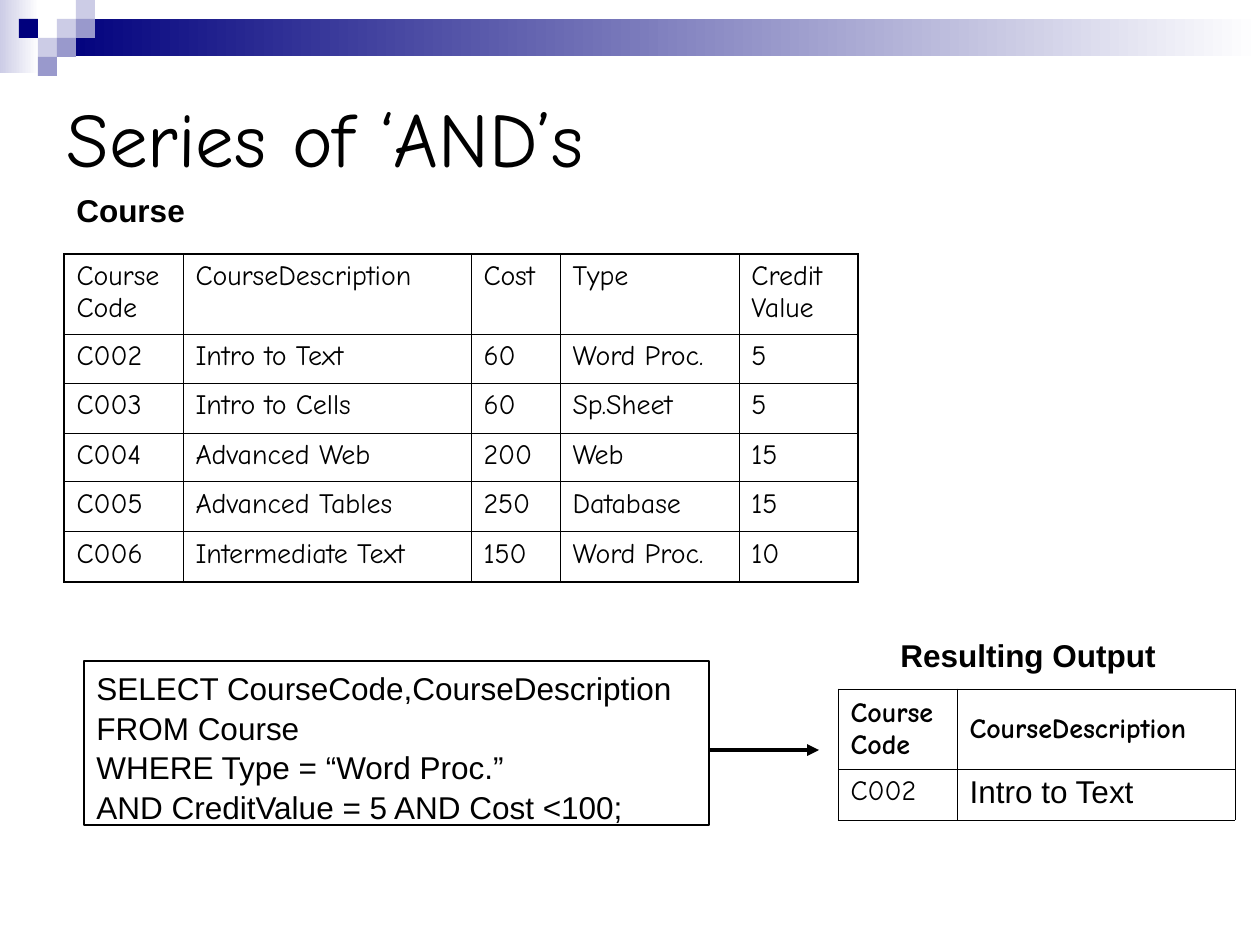
from lxml import etree
from pptx import Presentation
from pptx.dml.color import RGBColor
from pptx.enum.shapes import MSO_CONNECTOR, MSO_SHAPE
from pptx.enum.text import MSO_ANCHOR, MSO_AUTO_SIZE, PP_ALIGN
from pptx.oxml.ns import qn
from pptx.util import Emu, Pt

RECTANGLE = MSO_SHAPE.RECTANGLE
STRAIGHT = MSO_CONNECTOR.STRAIGHT
TOP, MIDDLE = MSO_ANCHOR.TOP, MSO_ANCHOR.MIDDLE
LEFT = PP_ALIGN.LEFT
NO_AUTOFIT = MSO_AUTO_SIZE.NONE

EMU_PER_PX = 914400 / 126
TITLE_ONLY = 5

COURSES = [
    ["Course Code", "CourseDescription", "Cost", "Type", "Credit Value"],
    ["C002", "Intro to Text", "60", "Word Proc.", "5"],
    ["C003", "Intro to Cells", "60", "Sp.Sheet", "5"],
    ["C004", "Advanced Web", "200", "Web", "15"],
    ["C005", "Advanced Tables", "250", "Database", "15"],
    ["C006", "Intermediate Text", "150", "Word Proc.", "10"],
]
RESULT = [["Course\vCode", "CourseDescription"], ["C002", "Intro to Text"]]
QUERY = [
    "SELECT CourseCode,CourseDescription",
    "FROM Course",
    "WHERE Type = “Word Proc.”",
    "AND CreditValue = 5 AND Cost <100;",
]


def px(*lengths):
    return [Emu(round(length * EMU_PER_PX)) for length in lengths]


def color(value):
    return RGBColor.from_string(value)


class SlideBuilder:
    HAND, SANS = "Comic Neue", "Arial"
    BLACK, WHITE = "000000", "FFFFFF"
    NAVY, LILAC, PALE = "00007D", "9999CC", "CCCCE6"

    def __init__(self, presentation):
        layout = presentation.slide_layouts[TITLE_ONLY]
        self.slide = presentation.slides.add_slide(layout)

    def style(self, paragraph, font_name, size, bold=False):
        paragraph.alignment = LEFT
        font = paragraph.font
        font.name, font.size, font.bold = font_name, Pt(size), bold
        font.color.rgb = color(self.BLACK)

    def title(self, text, *box):
        title = self.slide.shapes.title
        title.left, title.top, title.width, title.height = px(*box)
        frame = title.text_frame
        frame.text = text
        frame.auto_size = NO_AUTOFIT
        frame.vertical_anchor = MIDDLE
        self.style(frame.paragraphs[0], self.HAND, 44)

    def block(self, fill, *box):
        """Rectangle without outline; two colours make a gradient to the right."""
        shape = self.slide.shapes.add_shape(RECTANGLE, *px(*box))
        shape.shadow.inherit = False
        shape.line.fill.background()
        if isinstance(fill, str):
            shape.fill.solid()
            shape.fill.fore_color.rgb = color(fill)
        else:
            shape.fill.gradient()
            shape.fill.gradient_angle = 0
            for stop, value in zip(shape.fill.gradient_stops, fill):
                stop.color.rgb = color(value)

    def label(self, text, *box):
        frame = self.slide.shapes.add_textbox(*px(*box)).text_frame
        frame.word_wrap = True
        frame.text = text
        self.style(frame.paragraphs[0], self.SANS, 18, bold=True)

    def code_box(self, lines, *box):
        shape = self.slide.shapes.add_shape(RECTANGLE, *px(*box))
        shape.shadow.inherit = False
        shape.fill.background()
        shape.line.color.rgb = color(self.BLACK)
        shape.line.width = Pt(0.75)
        frame = shape.text_frame
        frame.word_wrap = True
        frame.vertical_anchor = TOP
        frame.text = "\n".join(lines)
        for paragraph in frame.paragraphs:
            self.style(paragraph, self.SANS, 18)
            paragraph.line_spacing = 1.05

    def arrow(self, *ends):
        connector = self.slide.shapes.add_connector(STRAIGHT, *px(*ends))
        connector.line.color.rgb = color(self.BLACK)
        connector.line.width = Pt(2.25)
        line = connector.line._get_or_add_ln()
        etree.SubElement(line, qn("a:tailEnd"), type="triangle")
        etree.SubElement(connector._element.spPr, qn("a:effectLst"))

    def borders(self, cell, widths):
        """Draw cell borders; widths are points for left, right, top, bottom."""
        properties = cell._tc.get_or_add_tcPr()
        for index, (side, width) in enumerate(zip("LRTB", widths)):
            line = etree.Element(qn(f"a:ln{side}"), w=str(Pt(width)))
            fill = etree.SubElement(line, qn("a:solidFill"))
            etree.SubElement(fill, qn("a:srgbClr"), val=self.BLACK)
            properties.insert(index, line)

    def table(self, rows, left, top, widths, heights, inner, outer):
        """Add a ruled table and return it for further formatting."""
        last_row, last_column = len(rows) - 1, len(widths) - 1
        frame = self.slide.shapes.add_table(
            len(rows), len(widths), *px(left, top, sum(widths), sum(heights)))
        table = frame.table
        table.first_row = table.horz_banding = False
        for column, width in zip(table.columns, px(*widths)):
            column.width = width
        for row, height in zip(table.rows, px(*heights)):
            row.height = height
        for r, texts in enumerate(rows):
            for c, text in enumerate(texts):
                cell = table.cell(r, c)
                cell.text = text
                cell.fill.solid()
                cell.fill.fore_color.rgb = color(self.WHITE)
                self.style(cell.text_frame.paragraphs[0], self.HAND, 16)
                on_edge = (c == 0, c == last_column, r == 0, r == last_row)
                self.borders(cell, [outer if edge else inner for edge in on_edge])
        return table


def main():
    presentation = Presentation()
    presentation.slide_width, presentation.slide_height = px(1260, 945)
    builder = SlideBuilder(presentation)

    # Banner: two gradients and a mosaic on a square grid
    builder.block((builder.PALE, builder.WHITE), 0, 0, 39, 73)
    builder.block((builder.NAVY, builder.WHITE), 57, 19, 1203, 37)
    square = 19
    mosaic = [
        (3, 1, builder.PALE), (4, 0, builder.PALE), (4, 1, builder.LILAC),
        (2, 2, builder.PALE), (1, 1, builder.NAVY), (3, 2, builder.LILAC),
        (2, 3, builder.LILAC),
    ]
    for column, row, fill in mosaic:
        builder.block(fill, column * square, row * square, square, square)

    # Title and course table
    builder.title("Series of ‘AND’s", 54, 66, 1134, 141)
    builder.label("Course", 64, 185, 367, 50)
    builder.table(COURSES, 64, 254, [119, 288, 89, 179, 119],
                  [80, 49, 50, 49, 50, 50], inner=0.45, outer=1.08)

    # Query and its output
    builder.code_box(QUERY, 84, 661, 625, 164)
    builder.arrow(709, 750, 819, 750)
    builder.label("Resulting Output", 888, 630, 367, 50)
    result = builder.table(RESULT, 838, 689, [119, 278], [80, 51],
                           inner=0.34, outer=0.34)
    for cell in result.rows[0].cells:
        cell.vertical_anchor = MIDDLE
        builder.style(cell.text_frame.paragraphs[0], builder.HAND, 16, bold=True)
    course_name = result.cell(1, 1).text_frame.paragraphs[0]
    builder.style(course_name, builder.SANS, 18)

    presentation.save("out.pptx")


if __name__ == "__main__":
    main()
